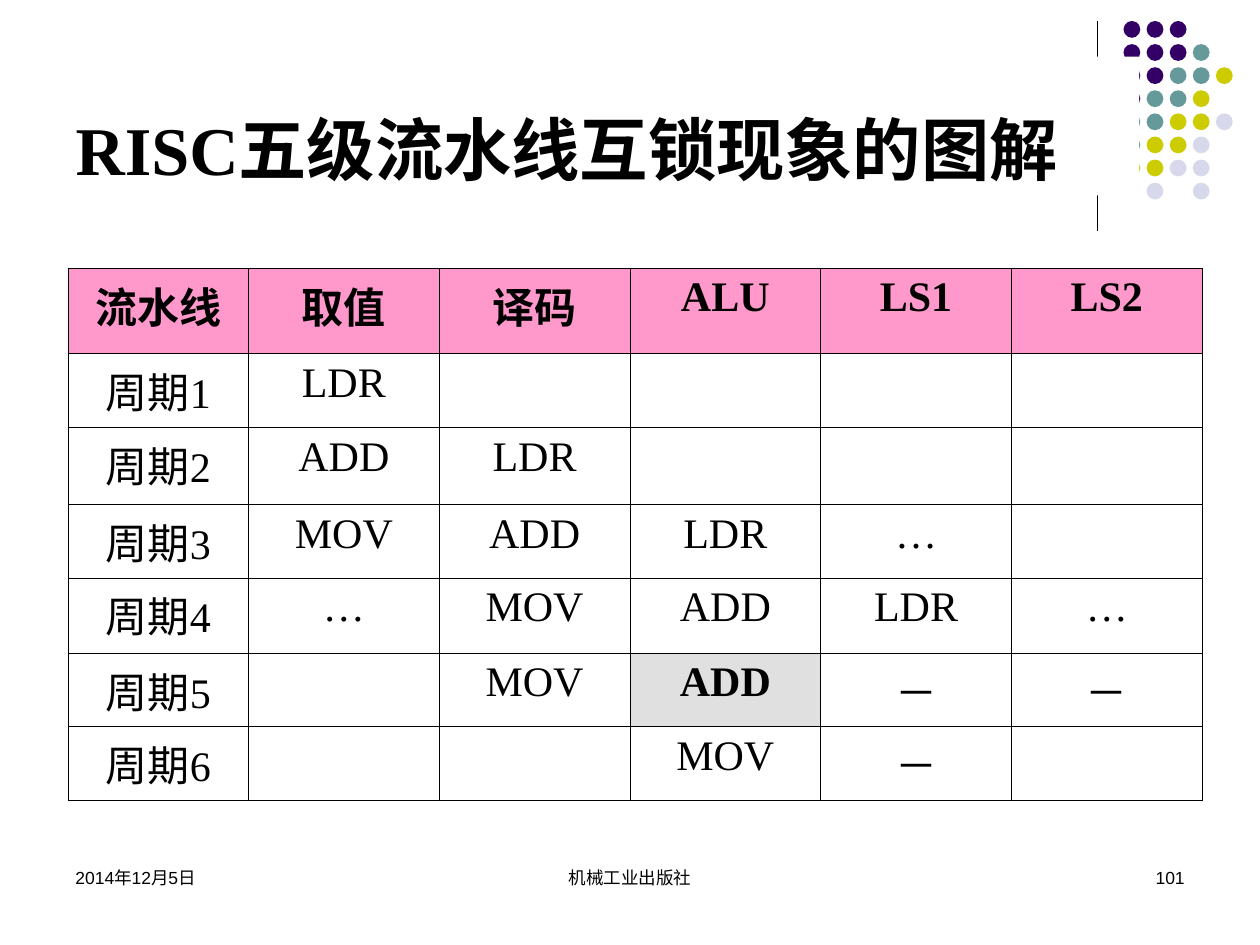
from dataclasses import dataclass

from lxml import etree
from pptx import Presentation
from pptx.dml.color import RGBColor
from pptx.enum.shapes import MSO_CONNECTOR, MSO_SHAPE
from pptx.enum.text import MSO_ANCHOR, MSO_AUTO_SIZE, PP_ALIGN
from pptx.oxml.ns import qn
from pptx.util import Pt

STRAIGHT = MSO_CONNECTOR.STRAIGHT
OVAL = MSO_SHAPE.OVAL
BOTTOM, TOP = MSO_ANCHOR.BOTTOM, MSO_ANCHOR.TOP
NO_AUTOFIT = MSO_AUTO_SIZE.NONE
LEFT, CENTER, RIGHT = PP_ALIGN.LEFT, PP_ALIGN.CENTER, PP_ALIGN.RIGHT

COLORS = {
    "text": "000000",
    "paper": "FFFFFF",
    "header": "FF99CC",
    "stall": "E0E0E0",
    "purple": "330066",
    "teal": "669999",
    "olive": "CCCC00",
    "lavender": "D8D8EC",
}
SERIF, SANS = "Times New Roman", "Arial"
TITLE_ONLY_LAYOUT = 5

# One letter per dot, a space where the grid has a gap
DOT_ROWS = ["PPP", "PPPT", "PPTTO", "PTTO", "TTOOL", "TOOL", "OOLL", " L L"]
DOT_COLORS = {"P": "purple", "T": "teal", "O": "olive", "L": "lavender"}
DOT_LEFT, DOT_TOP, DOT_SIZE, DOT_PITCH = 642, 12, 9.6, 13.2

PIPELINE = [
    ["流水线", "取值", "译码", "ALU", "LS1", "LS2"],
    ["周期1", "LDR", "", "", "", ""],
    ["周期2", "ADD", "LDR", "", "", ""],
    ["周期3", "MOV", "ADD", "LDR", "…", ""],
    ["周期4", "…", "MOV", "ADD", "LDR", "…"],
    ["周期5", "", "MOV", "ADD", "－", "－"],
    ["周期6", "", "", "MOV", "－", ""],
]
COLUMN_WIDTHS = [103] + [109] * 5
ROW_HEIGHTS = [49, 42, 44, 37.5, 43, 42, 39]
STALL_CELL = (5, 3)
BORDER_WIDTH = 0.45
HANGING_INDENT = 27


@dataclass
class Footer:
    text: str
    left: float
    width: float
    align: PP_ALIGN


FOOTERS = [
    Footer("机械工业出版社", 246, 228, CENTER),
    Footer("101", 516, 168, RIGHT),
    Footer("2014年12月5日", 36, 168, LEFT),
]


def color(name: str) -> RGBColor:
    return RGBColor.from_string(COLORS[name])


def add_text(para, text: str, size: float, font: str, bold: bool = False) -> None:
    span = para.add_run()
    span.text = text
    span.font.size = Pt(size)
    span.font.name = font
    span.font.bold = bold
    span.font.color.rgb = color("text")


def draw_rule(page) -> None:
    rule = page.shapes.add_connector(STRAIGHT, Pt(627), Pt(12), Pt(627), Pt(132))
    rule.line.color.rgb = color("text")
    rule.line.width = Pt(0.75)
    etree.SubElement(rule.element.spPr, qn("a:effectLst"))


def draw_dots(page) -> None:
    group = page.shapes.add_group_shape()
    for row, letters in enumerate(DOT_ROWS):
        for column, letter in enumerate(letters):
            if letter == " ":
                continue
            dot = group.shapes.add_shape(
                OVAL,
                Pt(DOT_LEFT + column * DOT_PITCH),
                Pt(DOT_TOP + row * DOT_PITCH),
                Pt(DOT_SIZE),
                Pt(DOT_SIZE),
            )
            dot.shadow.inherit = False
            dot.fill.solid()
            dot.fill.fore_color.rgb = color(DOT_COLORS[letter])
            dot.line.fill.background()


def draw_title(page) -> None:
    title = page.shapes.title
    # The white title box covers part of the rule and dots
    title.element.getparent().append(title.element)
    title.left, title.top = Pt(36), Pt(32.4)
    title.width, title.height = Pt(615), Pt(79.2)
    title.fill.solid()
    title.fill.fore_color.rgb = color("paper")
    frame = title.text_frame
    frame.auto_size = NO_AUTOFIT
    frame.word_wrap = True
    frame.vertical_anchor = BOTTOM
    para = frame.paragraphs[0]
    para.alignment = LEFT
    add_text(para, "RISC五级流水线互锁现象的图解", 39, SERIF, bold=True)


def set_borders(cell) -> None:
    properties = cell._tc.get_or_add_tcPr()
    for position, side in enumerate(("lnL", "lnR", "lnT", "lnB")):
        border = etree.Element(qn(f"a:{side}"), w=str(Pt(BORDER_WIDTH)))
        fill = etree.SubElement(border, qn("a:solidFill"))
        etree.SubElement(fill, qn("a:srgbClr"), val=COLORS["text"])
        properties.insert(position, border)


def format_cell(cell, text: str, fill: str | None, bold: bool) -> None:
    cell.vertical_anchor = TOP
    if fill:
        cell.fill.solid()
        cell.fill.fore_color.rgb = color(fill)
    else:
        cell.fill.background()
    set_borders(cell)
    if text:
        para = cell.text_frame.paragraphs[0]
        para.alignment = CENTER
        properties = para._p.get_or_add_pPr()
        properties.set("marL", str(Pt(HANGING_INDENT)))
        properties.set("indent", str(Pt(-HANGING_INDENT)))
        add_text(para, text, 24, SERIF, bold)


def draw_table(page) -> None:
    table = page.shapes.add_table(
        len(ROW_HEIGHTS), len(COLUMN_WIDTHS), Pt(39), Pt(153.2),
        Pt(sum(COLUMN_WIDTHS)), Pt(sum(ROW_HEIGHTS)),
    ).table
    table.first_row = False
    table.horz_banding = False
    for column, width in zip(table.columns, COLUMN_WIDTHS):
        column.width = Pt(width)
    for row, height in zip(table.rows, ROW_HEIGHTS):
        row.height = Pt(height)
    for row, texts in enumerate(PIPELINE):
        for column, text in enumerate(texts):
            fill = "header" if row == 0 else None
            if (row, column) == STALL_CELL:
                fill = "stall"
            format_cell(table.cell(row, column), text, fill, bold=fill is not None)


def draw_footer(page, footer: Footer) -> None:
    box = page.shapes.add_textbox(Pt(footer.left), Pt(492), Pt(footer.width), Pt(36))
    box.text_frame.word_wrap = True
    para = box.text_frame.paragraphs[0]
    para.alignment = footer.align
    add_text(para, footer.text, 10, SANS)


def main() -> None:
    deck = Presentation()
    deck.slide_width, deck.slide_height = Pt(720), Pt(540)
    page = deck.slides.add_slide(deck.slide_layouts[TITLE_ONLY_LAYOUT])

    # Corner decoration, then the title over it
    draw_rule(page)
    draw_dots(page)
    draw_title(page)

    # Pipeline table and footers
    draw_table(page)
    for footer in FOOTERS:
        draw_footer(page, footer)

    deck.save("out.pptx")


if __name__ == "__main__":
    main()
